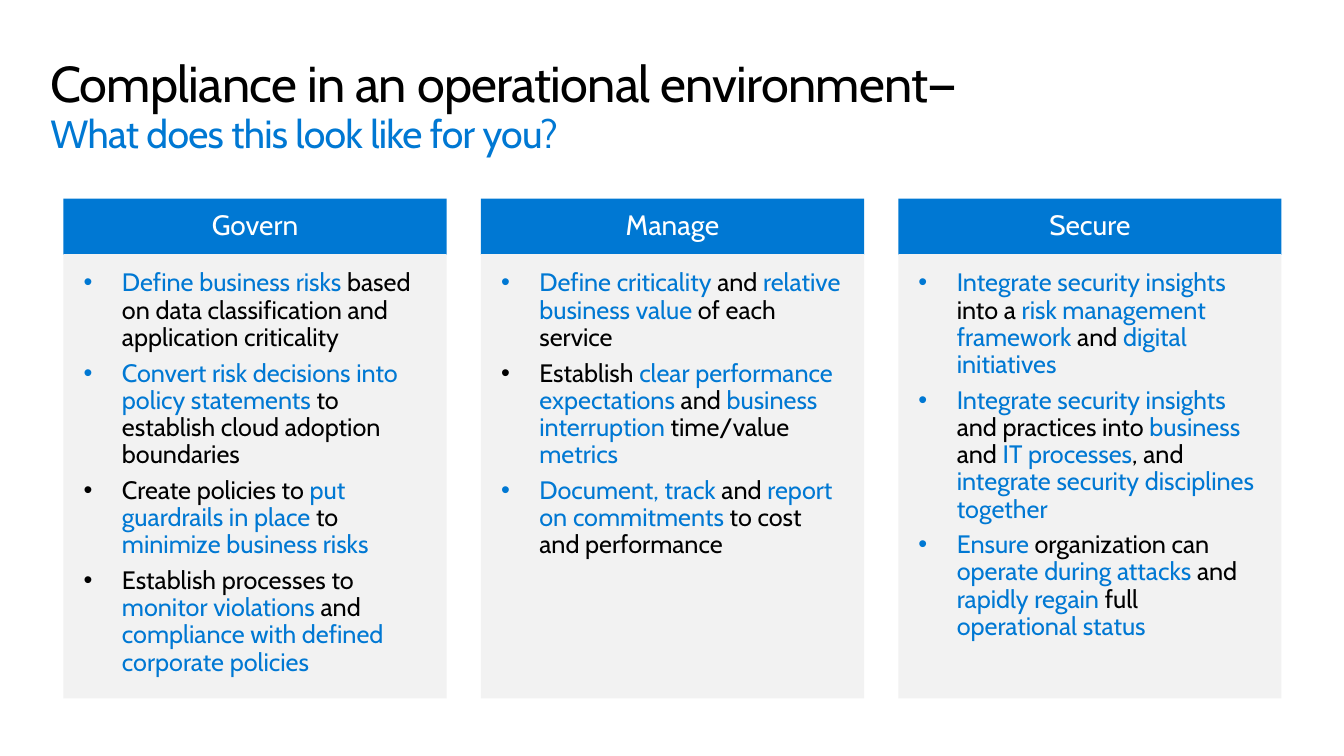
from dataclasses import dataclass

from lxml import etree
from pptx import Presentation
from pptx import util as u
from pptx.dml.color import RGBColor
from pptx.enum import shapes, text
from pptx.oxml import ns

BLUE = RGBColor(0x00, 0x78, 0xD3)
BLACK = RGBColor(0x00, 0x00, 0x00)
WHITE = RGBColor(0xFF, 0xFF, 0xFF)
PALE = RGBColor(0xF2, 0xF2, 0xF2)
FONT = "Cabin"

# Grid, in inches: three equal columns, a header row and a body row
GRID_LEFT, COLUMN_WIDTH, COLUMN_GAP = 0.63, 3.8, 0.34
HEADER_TOP, HEADER_HEIGHT = 1.97, 0.56
BODY_TOP, BODY_HEIGHT = 2.52, 4.41
BULLET_INDENT = u.Inches(0.38)


@dataclass(frozen=True)
class Discipline:
    name: str
    duties: tuple[str, ...]  # asterisks enclose the highlighted words


DISCIPLINES = (
    Discipline("Govern", (
        "*Define business risks* based on data classification and application criticality",
        "*Convert risk decisions into policy statements *to establish cloud adoption boundaries",
        "Create policies to *put guardrails in place *to *minimize business risks*",
        "Establish processes to *monitor violations *and "
        "*compliance with defined corporate policies*",
    )),
    Discipline("Manage", (
        "*Define criticality *and *relative business value *of each service",
        "Establish *clear performance expectations *and *business interruption *"
        "time/value *metrics*",
        "*Document, track *and *report on commitments *to cost and performance",
    )),
    Discipline("Secure", (
        "*Integrate security insights *into a *risk management framework *and "
        "*digital initiatives*",
        "*Integrate security insights *and practices into *business *and *IT processes*, and "
        "*integrate security disciplines together*",
        "*Ensure *organization can *operate during attacks *and *rapidly regain *full "
        "*operational status*",
    )),
)


def write(paragraph, words: str, *, size: float, color: RGBColor = BLACK,
          tracking: float = 0) -> None:
    """Add text to a paragraph, with the parts between asterisks in blue."""
    for index, part in enumerate(words.split("*")):
        if not part:
            continue
        run = paragraph.add_run()
        run.text = part
        run.font.name = FONT
        run.font.size = u.Pt(size)
        run.font.color.rgb = BLUE if index % 2 else color
        if tracking:
            run.font._element.set("spc", str(round(tracking * 100)))


def add_bullet(paragraph) -> None:
    properties = paragraph._p.get_or_add_pPr()
    properties.set("marL", str(BULLET_INDENT))
    properties.set("indent", str(-BULLET_INDENT))
    etree.SubElement(properties, ns.qn("a:buFont"), typeface="Arial")
    etree.SubElement(properties, ns.qn("a:buChar"), char="•")


def add_panel(slide, left: float, top: float, height: float, fill: RGBColor,
              anchor: text.MSO_ANCHOR):
    """Draw one cell of the grid and return its text frame."""
    panel = slide.shapes.add_shape(
        shapes.MSO_SHAPE.RECTANGLE, u.Inches(left), u.Inches(top),
        u.Inches(COLUMN_WIDTH), u.Inches(height))
    panel.shadow.inherit = False
    panel.fill.solid()
    panel.fill.fore_color.rgb = fill
    panel.line.fill.background()
    frame = panel.text_frame
    frame.word_wrap = True
    frame.vertical_anchor = anchor
    frame.margin_left = frame.margin_right = u.Inches(0.2)
    frame.margin_top = frame.margin_bottom = u.Inches(0.16)
    return frame


def add_title(slide) -> None:
    frame = slide.shapes.add_textbox(
        u.Inches(0.5), u.Inches(0.68), u.Inches(12.36), u.Inches(0.87)).text_frame
    frame.word_wrap = True
    frame.margin_left = frame.margin_right = frame.margin_top = frame.margin_bottom = 0
    heading = frame.paragraphs[0]
    heading.line_spacing = u.Pt(31.4)
    write(heading, "Compliance in an operational environment—", size=36, tracking=-0.5)
    heading.add_line_break()
    write(heading, "What does this look like for you?", size=28, color=BLUE, tracking=-0.5)


def add_discipline(slide, column: int, discipline: Discipline) -> None:
    left = GRID_LEFT + column * (COLUMN_WIDTH + COLUMN_GAP)

    # Header
    header = add_panel(slide, left, HEADER_TOP, HEADER_HEIGHT, BLUE, text.MSO_ANCHOR.MIDDLE)
    name = header.paragraphs[0]
    name.alignment = text.PP_ALIGN.CENTER
    name.line_spacing = 0.9
    write(name, discipline.name, size=20, color=WHITE)

    # Duties
    body = add_panel(slide, left, BODY_TOP, BODY_HEIGHT, PALE, text.MSO_ANCHOR.TOP)
    for index, words in enumerate(discipline.duties):
        duty = body.add_paragraph() if index else body.paragraphs[0]
        duty.alignment = text.PP_ALIGN.LEFT
        duty.line_spacing = 0.9
        duty.space_after = u.Pt(6)
        add_bullet(duty)
        write(duty, words, size=18)


def main() -> None:
    deck = Presentation()
    deck.slide_width, deck.slide_height = u.Inches(13.33), u.Inches(7.5)
    slide = deck.slides.add_slide(deck.slide_layouts[6])
    add_title(slide)
    for column, discipline in enumerate(DISCIPLINES):
        add_discipline(slide, column, discipline)
    deck.save("out.pptx")


if __name__ == "__main__":
    main()
